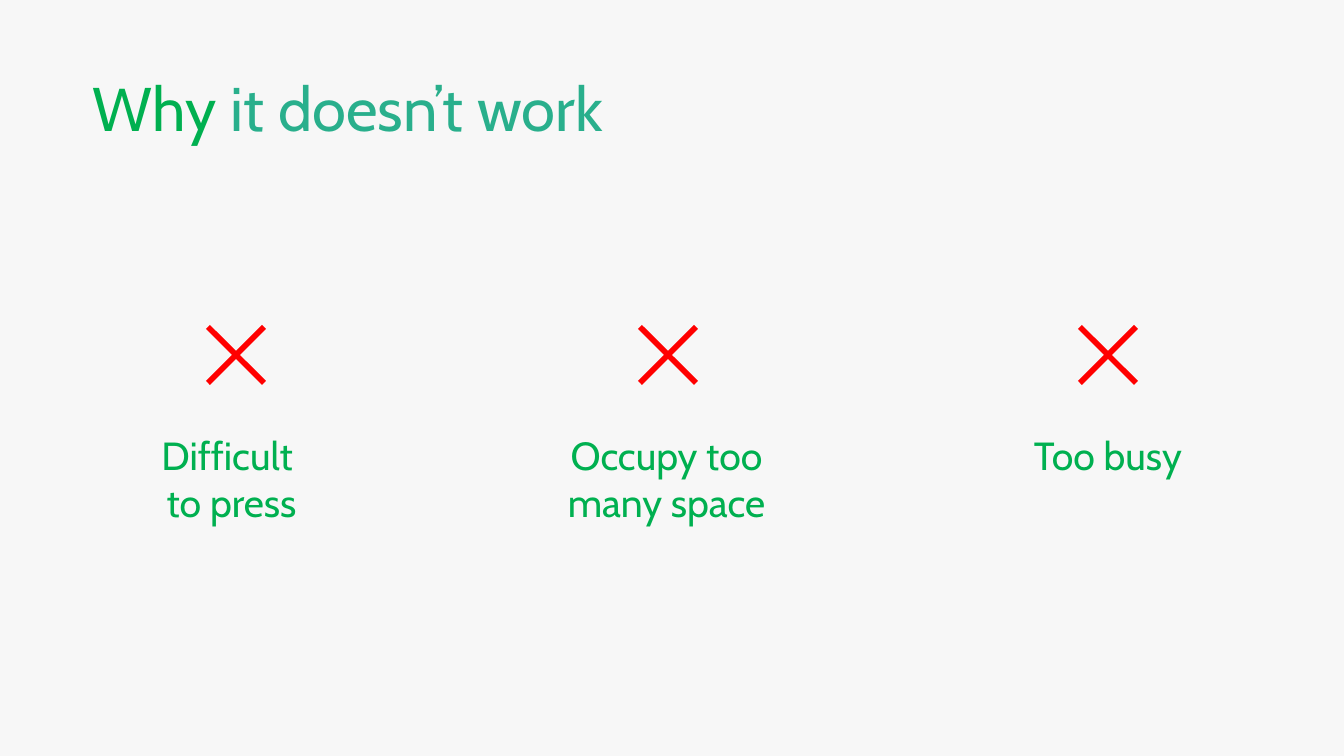
import pptx
import pptx.dml.color
import pptx.enum.text
import pptx.util

PX = 9144000 / 1008
COLORS = {"back": "F7F7F7", "green": "00B050", "teal": "29AF8C", "red": "FF0000"}
REASONS = [
    (93, 236, 105, "Difficult \vto press"),
    (528, 668, 105, "Occupy too many space"),
    (965, 1108, 57, " Too busy"),
]


def px(n):
    """Turn whole pixels into EMU."""
    return pptx.util.Emu(round(n * PX))


def rgb(name):
    """Look up a named colour."""
    return pptx.dml.color.RGBColor.from_string(COLORS[name])


def add_text(s, x, y, w, h, size):
    """Add a wrapped text box and return its paragraph."""
    tf = s.shapes.add_textbox(px(x), px(y), px(w), px(h)).text_frame
    tf.word_wrap = True
    tf.auto_size = pptx.enum.text.MSO_AUTO_SIZE.SHAPE_TO_FIT_TEXT
    tf.margin_left = 0
    p = tf.paragraphs[0]
    p.font.name = "Cabin"
    p.font.size = pptx.util.Pt(size)
    return p


def add_title(s):
    """Add the two-colour title."""
    p = add_text(s, 93, 73, 574, 78, 44)
    p.line_spacing = 0.9
    p.space_before = pptx.util.Pt(10)
    for text, color in (("Why ", "green"), ("it doesn’t work", "teal")):
        r = p.add_run()
        r.text = text
        r.font.color.rgb = rgb(color)


def add_cross(s, cx, cy):
    """Draw a diagonal cross by turning one arm through four quarters."""
    arm = [(26, -30), (30, -26), (4, 0)]
    points = []
    for _ in range(4):
        points += arm
        arm = [(-y, x) for x, y in arm]
    points = [(cx + x, cy + y) for x, y in points]
    builder = s.shapes.build_freeform(*points[0], scale=PX)
    builder.add_line_segments(points[1:], close=True)
    sp = builder.convert_to_shape()
    sp.shadow.inherit = False
    sp.fill.solid()
    sp.fill.fore_color.rgb = rgb("red")
    sp.line.fill.background()


def add_reason(s, x, cx, h, text):
    """Add a cross with its centred caption."""
    add_cross(s, cx, 355)
    p = add_text(s, x, 426, 287, h, 28)
    p.text = text
    p.alignment = pptx.enum.text.PP_ALIGN.CENTER
    p.font.color.rgb = rgb("green")


def main():
    """Build and save the slide."""
    prs = pptx.Presentation()
    prs.slide_width, prs.slide_height = px(1344), px(756)
    s = prs.slides.add_slide(prs.slide_layouts[6])
    s.background.fill.solid()
    s.background.fill.fore_color.rgb = rgb("back")
    add_title(s)
    for reason in REASONS:
        add_reason(s, *reason)
    prs.save("out.pptx")


if __name__ == "__main__":
    main()
